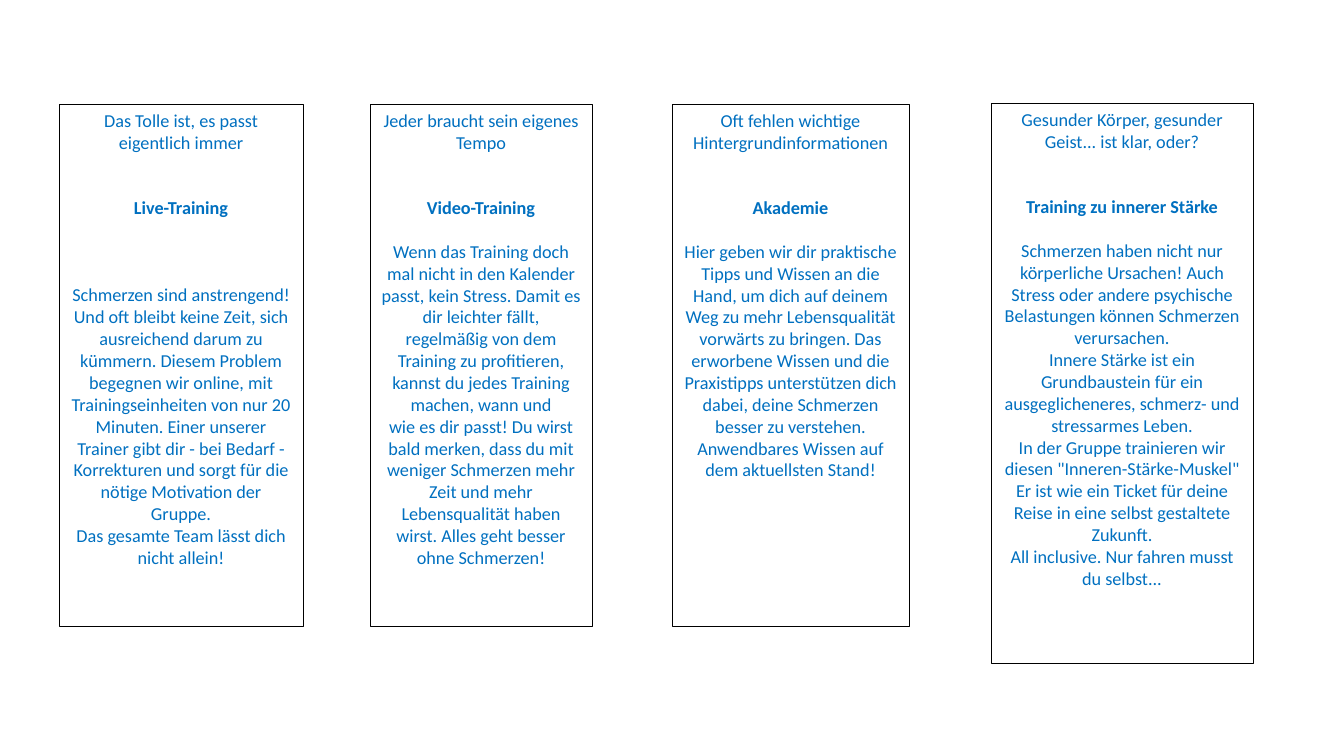
from pptx import Presentation
from pptx.dml.color import RGBColor
from pptx.enum.shapes import MSO_SHAPE
from pptx.enum.text import MSO_ANCHOR, PP_ALIGN
from pptx.util import Pt

# left, top, width, height in px; gap before the body in lines
CARDS = [
    dict(
        box=(59, 104, 244, 522), gap=3,
        lead="Das Tolle ist, es passt eigentlich immer",
        title="Live-Training",
        body=[
            "Schmerzen sind anstrengend! Und oft bleibt keine Zeit, sich "
            "ausreichend darum zu kümmern. Diesem Problem begegnen wir online, "
            "mit Trainingseinheiten von nur 20 Minuten. Einer unserer Trainer "
            "gibt dir - bei Bedarf - Korrekturen und sorgt für die nötige "
            "Motivation der Gruppe.",
            "Das gesamte Team lässt dich nicht allein!",
        ],
    ),
    dict(
        box=(370, 104, 222, 522), gap=1,
        lead="Jeder braucht sein eigenes Tempo",
        title="Video-Training",
        body=[
            "Wenn das Training doch mal nicht in den Kalender passt, kein "
            "Stress. Damit es dir leichter fällt, regelmäßig von dem Training "
            "zu profitieren, kannst du jedes Training machen, wann und",
            "wie es dir passt! Du wirst bald merken, dass du mit weniger "
            "Schmerzen mehr Zeit und mehr Lebensqualität haben wirst. Alles "
            "geht besser ohne Schmerzen!",
        ],
    ),
    dict(
        box=(672, 104, 237, 522), gap=1,
        lead="Oft fehlen wichtige Hintergrundinformationen",
        title="Akademie",
        body=[
            "Hier geben wir dir praktische Tipps und Wissen an die Hand, um "
            "dich auf deinem Weg zu mehr Lebensqualität vorwärts zu bringen. "
            "Das erworbene Wissen und die Praxistipps unterstützen dich dabei, "
            "deine Schmerzen besser zu verstehen.",
            "Anwendbares Wissen auf dem aktuellsten Stand!",
        ],
    ),
    dict(
        box=(991, 103, 262, 560), gap=1,
        lead="Gesunder Körper, gesunder Geist... ist klar, oder?",
        title="Training zu innerer Stärke",
        body=[
            "Schmerzen haben nicht nur körperliche Ursachen! Auch Stress oder "
            "andere psychische Belastungen können Schmerzen verursachen.",
            "Innere Stärke ist ein Grundbaustein für ein ausgeglicheneres, "
            "schmerz- und stressarmes Leben.",
            'In der Gruppe trainieren wir diesen "Inneren-Stärke-Muskel"',
            "Er ist wie ein Ticket für deine Reise in eine selbst gestaltete "
            "Zukunft.",
            "All inclusive. Nur fahren musst du selbst...",
        ],
    ),
]
PX = 914400 / 100.8
LINE = 15.6  # height of one text line in points
BLUE, BLACK, WHITE = "0070C0", "000000", "FFFFFF"


def px(n):
    return round(n * PX)


def color(code):
    return RGBColor.from_string(code)


def write(para, text, bold=False, gap=0):
    """Fill a paragraph, with a gap before it counted in lines."""
    para.text = text
    para.alignment = PP_ALIGN.CENTER
    if gap:
        para.space_before = Pt(gap * LINE)
    font = para.font
    font.name, font.size, font.bold = "Calibri", Pt(13), bold
    font.color.rgb = color(BLUE)


def draw(slide, box, gap, lead, title, body):
    card = slide.shapes.add_shape(MSO_SHAPE.RECTANGLE, *map(px, box))
    card.shadow.inherit = False
    card.fill.solid()
    card.fill.fore_color.rgb = color(WHITE)
    card.line.color.rgb = color(BLACK)
    card.line.width = Pt(0.5)
    frame = card.text_frame
    frame.word_wrap = True
    frame.vertical_anchor = MSO_ANCHOR.TOP
    write(frame.paragraphs[0], lead)
    write(frame.add_paragraph(), title, bold=True, gap=2)
    for i, text in enumerate(body):
        write(frame.add_paragraph(), text, gap=0 if i else gap)


def main():
    deck = Presentation()
    deck.slide_width, deck.slide_height = px(1344), px(756)
    slide = deck.slides.add_slide(deck.slide_layouts[6])
    for card in CARDS:
        draw(slide, **card)
    deck.save("out.pptx")


if __name__ == "__main__":
    main()
